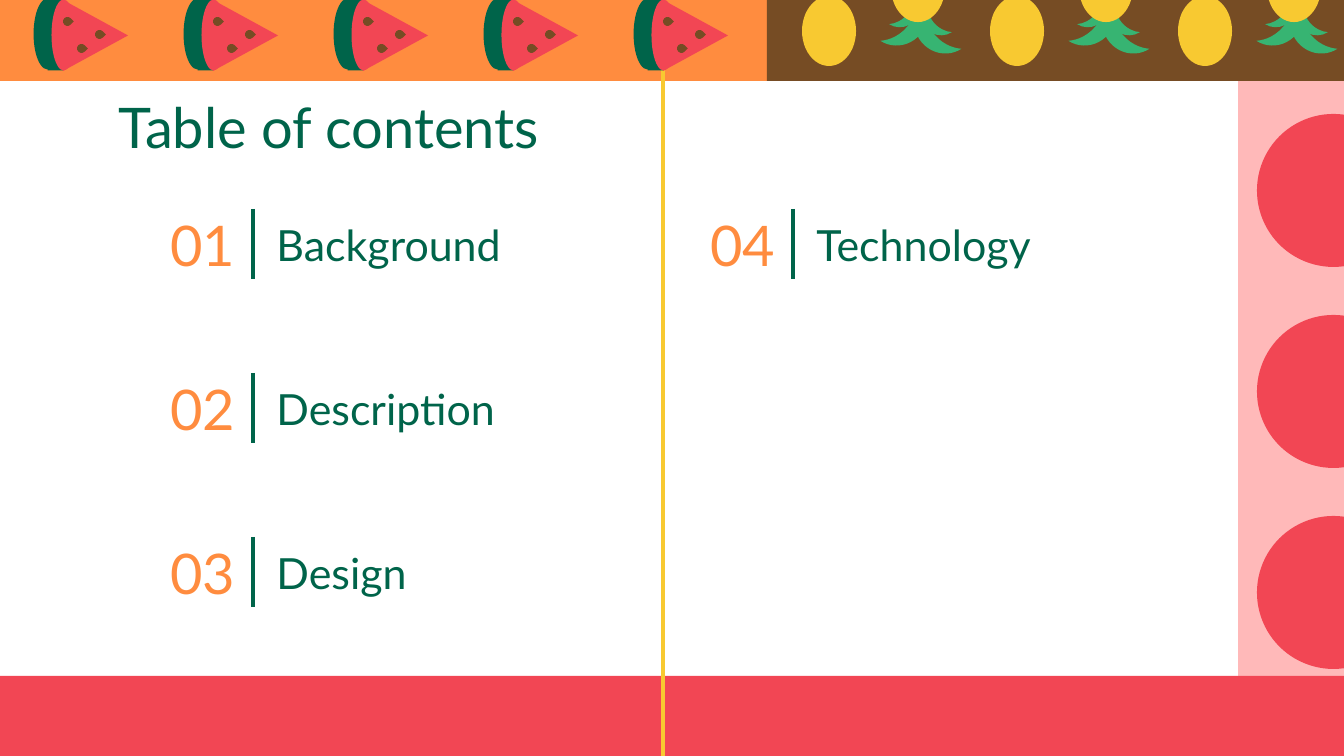
from typing import Any, NamedTuple

from lxml.etree import SubElement
from pptx import Presentation
from pptx.dml.color import RGBColor
from pptx.enum.shapes import MSO_CONNECTOR as Connector, MSO_SHAPE as Shape
from pptx.enum.text import MSO_ANCHOR as Anchor, MSO_AUTO_SIZE as AutoSize, PP_ALIGN as Align
from pptx.oxml.ns import qn
from pptx.util import Emu, Inches, Pt

WIDTH, HEIGHT = 1344, 756
SCALE = Inches(10) / WIDTH
INSET = Inches(0.1)

ORANGE = RGBColor(0xFF, 0x8C, 0x3F)
PINK = RGBColor(0xFF, 0xB9, 0xB9)
BROWN = RGBColor(0x76, 0x4C, 0x24)
RED = RGBColor(0xF2, 0x46, 0x54)
YELLOW = RGBColor(0xF8, 0xC9, 0x31)
GREEN = RGBColor(0x00, 0x64, 0x4A)
LEAF = RGBColor(0x37, 0xB4, 0x72)

TITLE_FONT = dict(name="Lato", size=Pt(30), bold=False, color=GREEN)
NUMBER_FONT = TITLE_FONT | dict(color=ORANGE)
TOPIC_FONT = TITLE_FONT | dict(size=Pt(23))


class Part(NamedTuple):
    kind: Shape
    x: int
    y: int
    w: int
    h: int
    fill: RGBColor
    rotation: float = 0
    flip: bool = False


class Topic(NamedTuple):
    number: str
    name: str
    column: int
    row: int


BANDS = [
    Part(Shape.RECTANGLE, 0, 0, 771, 81, ORANGE),
    Part(Shape.RECTANGLE, 1238, 71, 106, 610, PINK),
    Part(Shape.RECTANGLE, 767, 0, 577, 81, BROWN),
    Part(Shape.RECTANGLE, 0, 676, WIDTH, 80, RED),
]
BERRY = Part(Shape.OVAL, 1257, 114, 153, 153, RED)
MELON = [
    Part(Shape.OVAL, 12, 20, 71, 28, GREEN, 90),
    Part(Shape.RECTANGLE, 20, 27, 71, 16, GREEN, 90),
    Part(Shape.ISOSCELES_TRIANGLE, 60, 3, 71, 65, RED, 90),
    Part(Shape.OVAL, 28, 23, 71, 24, RED, 90),
    *(Part(Shape.TEAR, x, y, 9, 9, BROWN, 44.9) for x, y in [(63, 17), (77, 44), (95, 30)]),
]
PINEAPPLE = Part(Shape.OVAL, 802, -4, 54, 70, YELLOW)
HANGING_PINEAPPLE = [
    Part(Shape.MOON, 895, -8, 30, 62, LEAF, 213.1),
    Part(Shape.MOON, 899, -9, 20, 42, LEAF, 213.1),
    Part(Shape.MOON, 917, 0, 30, 62, LEAF, 146.9, True),
    Part(Shape.MOON, 922, -1, 20, 42, LEAF, 146.9, True),
    Part(Shape.OVAL, 891, -48, 54, 70, YELLOW, 180),
]
TOPICS = [
    Topic("01", "Background", 0, 0),
    Topic("02", "Description", 0, 1),
    Topic("03", "Design", 0, 2),
    Topic("04", "Technology", 1, 0),
]


def px(n: int) -> Emu:
    return Emu(round(n * SCALE))


def draw_part(shapes: Any, part: Part, dx: int = 0, dy: int = 0) -> None:
    sp = shapes.add_shape(part.kind, px(part.x + dx), px(part.y + dy), px(part.w), px(part.h))
    sp.shadow.inherit = False
    sp.fill.solid()
    sp.fill.fore_color.rgb = part.fill
    sp.line.fill.background()
    sp.rotation = part.rotation
    if part.flip:
        sp._element.spPr.get_or_add_xfrm().set("flipH", "1")


def draw_group(shapes: Any, parts: list[Part], dx: int) -> None:
    group = shapes.add_group_shape()
    for part in parts:
        draw_part(group.shapes, part, dx)


def draw_rule(shapes: Any, x: int, top: int, bottom: int, color: RGBColor) -> None:
    line = shapes.add_connector(Connector.STRAIGHT, px(x), px(top), px(x), px(bottom))
    line.line.color.rgb = color
    line.line.width = Pt(2.25)
    SubElement(line._element.spPr, qn("a:effectLst"))


def write(sp: Any, text: str, box: tuple[int, int, int, int], font: dict, anchor: Anchor) -> None:
    """Place a text shape and fill it with one unbulleted, left-aligned paragraph."""
    for name, value in zip(("left", "top", "width", "height"), box):
        setattr(sp, name, px(value))
    tf = sp.text_frame
    frame = dict(word_wrap=True, auto_size=AutoSize.NONE, vertical_anchor=anchor)
    frame |= {f"margin_{side}": INSET for side in ("left", "top", "right", "bottom")}
    for name, value in frame.items():
        setattr(tf, name, value)
    p = tf.paragraphs[0]
    p.alignment = Align.LEFT
    p.space_before = Pt(0)
    pPr = p._p.get_or_add_pPr()
    pPr.set("marL", "0")
    pPr.set("indent", "0")
    SubElement(pPr, qn("a:buNone"))
    r = p.add_run()
    r.text = text
    for name, value in font.items():
        if name == "color":
            r.font.color.rgb = value
        else:
            setattr(r.font, name, value)


def draw_topic(shapes: Any, body: Any, topic: Topic) -> None:
    x, y = 157 + 540 * topic.column, 211 + 164 * topic.row
    number = shapes.add_textbox(0, 0, 0, 0)
    write(number, topic.number, (x, y, 95, 67), NUMBER_FONT, Anchor.MIDDLE)
    write(body, topic.name, (x + 106, y, 382, 67), TOPIC_FONT, Anchor.MIDDLE)
    draw_rule(shapes, x + 96, y - 2, y + 68, GREEN)


def main() -> None:
    prs = Presentation()
    prs.slide_width, prs.slide_height = px(WIDTH), px(HEIGHT)
    s = prs.slides.add_slide(prs.slide_layouts.get_by_name("Comparison"))
    title, *bodies = list(s.placeholders)[:5]

    for band in BANDS:
        draw_part(s.shapes, band)
    for i in range(3):
        draw_part(s.shapes, BERRY, dy=201 * i)
    draw_rule(s.shapes, 663, 0, HEIGHT, YELLOW)
    for i in range(5):
        draw_group(s.shapes, MELON, 150 * i)
    for i in range(3):
        draw_part(s.shapes, PINEAPPLE, 188 * i)
        draw_group(s.shapes, HANGING_PINEAPPLE, 188 * i)

    write(title, "Table of contents", (105, 79, 1134, 85), TITLE_FONT, Anchor.TOP)
    for body, topic in zip(bodies, TOPICS):
        draw_topic(s.shapes, body, topic)
    prs.save("out.pptx")


if __name__ == "__main__":
    main()
